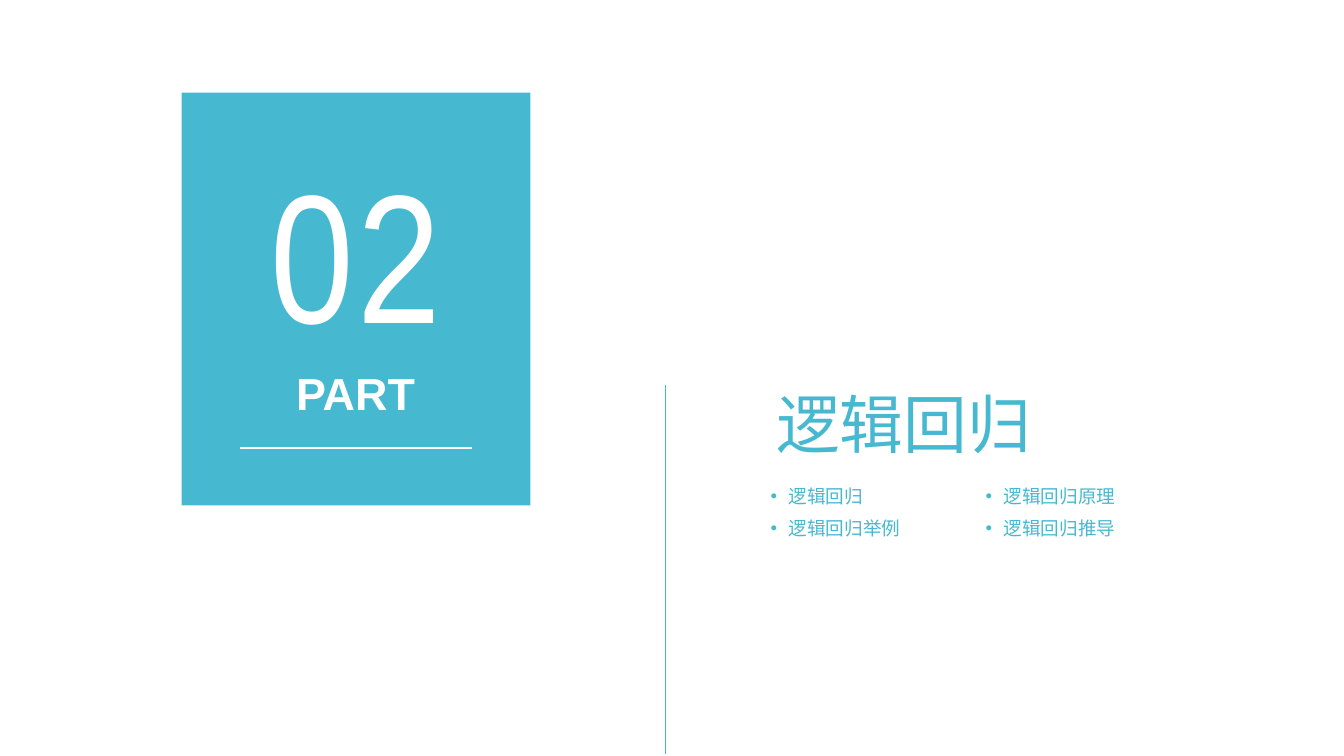
"""Build the section slide that opens part 02, logistic regression."""
from dataclasses import dataclass

from lxml import etree
from pptx import Presentation
from pptx import util as u
from pptx.dml.color import RGBColor
from pptx.enum import shapes, text
from pptx.oxml import ns

SLIDE_WIDTH, SLIDE_HEIGHT = u.Inches(14.06), u.Inches(7.91)
COLORS = {"teal": "46B9D0", "white": "FFFFFF"}
TOPIC_LEFT, TOPIC_TOP = 57.33, 64.1
TOPIC_COLUMN, TOPIC_ROW = 16, 4.3
TOPIC_INDENT = u.Inches(0.19)
TOPICS = (("逻辑回归", "逻辑回归原理"), ("逻辑回归举例", "逻辑回归推导"))


@dataclass(frozen=True)
class Box:
    left: float
    top: float
    width: float
    height: float


@dataclass(frozen=True)
class Rule:
    start: tuple[float, float]
    end: tuple[float, float]
    color: str
    weight: float


@dataclass(frozen=True)
class Label:
    wording: str
    box: Box
    size: float
    color: str
    font: str = "Arial"
    bold: bool = False
    centered: bool = False
    bulleted: bool = False
    inset: tuple[float, float] = (0, 0)
    space_before: int = 0
    tracking: int = 0


PANEL = Box(13.51, 12.26, 25.96, 54.61)
RULES = (
    Rule((17.85, 59.29), (35.14, 59.29), "white", 1.5),
    Rule((49.5, 50.95), (49.5, 99.75), "teal", 0.5),
)
HEADINGS = (
    Label("PART", Box(16.93, 48.42, 19.06, 7.21), 33.8, "white", bold=True, centered=True),
    Label("逻辑回归", Box(57.75, 50.95, 33.57, 10.24), 48, "teal"),
    Label("02", Box(17.07, 17.95, 18.78, 30.59), 138, "white", font="Arial Narrow",
          centered=True, inset=(0.1, 0.05), space_before=20, tracking=3),
)


def across(percent: float) -> int:
    return round(SLIDE_WIDTH * percent / 100)


def down(percent: float) -> int:
    return round(SLIDE_HEIGHT * percent / 100)


def place(box: Box) -> tuple[int, int, int, int]:
    return across(box.left), down(box.top), across(box.width), down(box.height)


def color(name: str) -> RGBColor:
    return RGBColor.from_string(COLORS[name])


def add_panel(slide, box: Box) -> None:
    shape = slide.shapes.add_shape(shapes.MSO_SHAPE.RECTANGLE, *place(box))
    shape.shadow.inherit = False
    shape.fill.solid()
    shape.fill.fore_color.rgb = color("teal")
    shape.line.fill.background()


def add_rule(slide, rule: Rule) -> None:
    (x1, y1), (x2, y2) = rule.start, rule.end
    connector = slide.shapes.add_connector(
        shapes.MSO_CONNECTOR.STRAIGHT, across(x1), down(y1), across(x2), down(y2))
    connector.line.color.rgb = color(rule.color)
    connector.line.width = u.Pt(rule.weight)
    etree.SubElement(connector.element.spPr, ns.qn("a:effectLst"))


def add_label(slide, label: Label) -> None:
    frame = slide.shapes.add_textbox(*place(label.box)).text_frame
    frame.word_wrap = True
    frame.auto_size = text.MSO_AUTO_SIZE.SHAPE_TO_FIT_TEXT
    frame.margin_left = frame.margin_right = u.Inches(label.inset[0])
    frame.margin_top = frame.margin_bottom = u.Inches(label.inset[1])
    frame.text = label.wording
    paragraph = frame.paragraphs[0]
    paragraph.alignment = text.PP_ALIGN.CENTER if label.centered else text.PP_ALIGN.LEFT
    run = paragraph.runs[0]
    run.font.name = label.font
    run.font.size = u.Pt(label.size)
    run.font.bold = label.bold
    run.font.color.rgb = color(label.color)
    properties = paragraph._p.get_or_add_pPr()
    if label.space_before:
        spacing = etree.SubElement(properties, ns.qn("a:spcBef"))
        etree.SubElement(spacing, ns.qn("a:spcPct"), val=str(label.space_before * 1000))
    if label.tracking:
        run.font._element.set("spc", str(label.tracking * 100))
    if label.bulleted:
        properties.set("marL", str(TOPIC_INDENT))
        properties.set("indent", str(-TOPIC_INDENT))
        etree.SubElement(properties, ns.qn("a:buFont"), typeface="Arial")
        etree.SubElement(properties, ns.qn("a:buChar"), char="•")


def add_topics(slide) -> None:
    for row, wordings in enumerate(TOPICS):
        for column, wording in enumerate(wordings):
            box = Box(TOPIC_LEFT + column * TOPIC_COLUMN,
                      TOPIC_TOP + row * TOPIC_ROW, 14.3, 3.03)
            add_label(slide, Label(wording, box, 14, "teal", bulleted=True))


def main() -> None:
    presentation = Presentation()
    presentation.slide_width, presentation.slide_height = SLIDE_WIDTH, SLIDE_HEIGHT
    slide = presentation.slides.add_slide(presentation.slide_layouts[6])
    add_panel(slide, PANEL)
    for rule in RULES:
        add_rule(slide, rule)
    for heading in HEADINGS:
        add_label(slide, heading)
    add_topics(slide)
    presentation.save("out.pptx")


if __name__ == "__main__":
    main()
